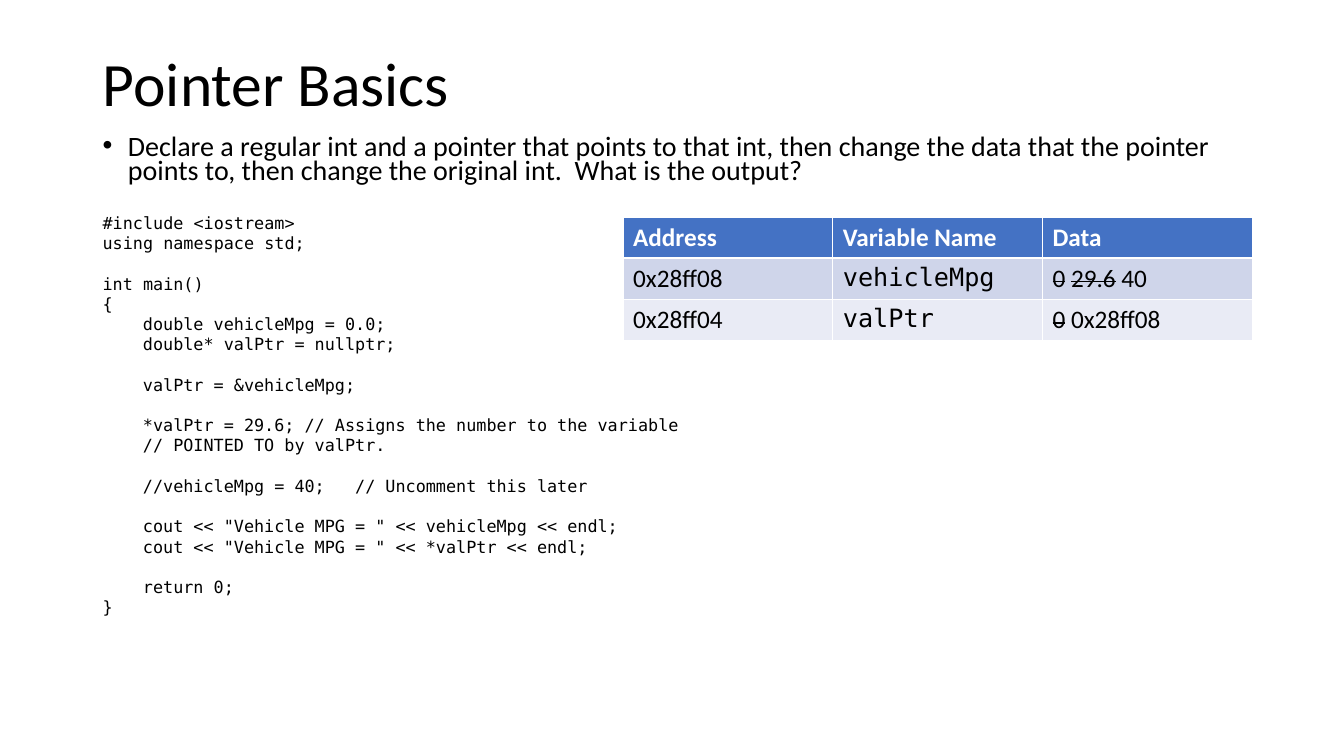
"""Build the Pointer Basics slide."""
from lxml.etree import SubElement
from pptx import Presentation
from pptx.dml.color import RGBColor
from pptx.enum.text import MSO_ANCHOR, PP_ALIGN
from pptx.oxml.ns import qn
from pptx.util import Inches, Pt

HUES = {"ink": "000000", "white": "FFFFFF", "head": "4472C4", "dark": "CFD5EA", "light": "E9EBF5"}
SANS, MONO = "Calibri", "DejaVu Sans Mono"
CODE = """#include <iostream>
using namespace std;

int main()
{
    double vehicleMpg = 0.0;
    double* valPtr = nullptr;

    valPtr = &vehicleMpg;

    *valPtr = 29.6; // Assigns the number to the variable
    // POINTED TO by valPtr.

    //vehicleMpg = 40;   // Uncomment this later

    cout << "Vehicle MPG = " << vehicleMpg << endl;
    cout << "Vehicle MPG = " << *valPtr << endl;

    return 0;
}"""
ROWS = [
    ("head", ["Address", "Variable Name", "Data"]),
    ("dark", ["0x28ff08", "vehicleMpg", "~0~ ~29.6~ 40"]),
    ("light", ["0x28ff04", "valPtr", "~0~ 0x28ff08"]),
]


def style(para, size, face=SANS, hue="ink", bold=False):
    font = para.font
    font.size, font.name, font.bold = Pt(size), face, bold
    font.color.rgb = RGBColor.from_string(HUES[hue])


def indent(para, left, first=0):
    props = para._p.get_or_add_pPr()
    props.set("marL", str(Inches(left)))
    props.set("indent", str(Inches(first)))
    return props


deck = Presentation()
deck.slide_width, deck.slide_height = Inches(13.33), Inches(7.5)
slide = deck.slides.add_slide(deck.slide_layouts[5])

title = slide.shapes.title
title.left, title.top, title.width, title.height = map(Inches, (0.92, 0.4, 11.5, 0.92))
title.text_frame.text = "Pointer Basics"
title.text_frame.vertical_anchor = MSO_ANCHOR.MIDDLE
para = title.text_frame.paragraphs[0]
para.alignment, para.line_spacing = PP_ALIGN.LEFT, 0.9
style(para, 44)

body = slide.shapes.add_textbox(*map(Inches, (0.92, 1.32, 11.5, 5.44))).text_frame
body.word_wrap = True
task = body.paragraphs[0]
task.text = ("Declare a regular int and a pointer that points to that int, then change the data "
             "that the pointer points to, then change the original int.  What is the output?")
task.line_spacing, task.space_before = 0.7, Pt(10)
style(task, 20)
props = indent(task, 0.25, -0.25)
SubElement(props, qn("a:buFont"), typeface="Arial")
SubElement(props, qn("a:buChar"), char="•")

pitch = 14.45
gap = 19.6
for line in CODE.splitlines():
    if not line:
        gap = pitch
        continue
    para = body.add_paragraph()
    para.text = line.strip()
    para.line_spacing, para.space_before = Pt(pitch), Pt(gap)
    style(para, 12, MONO)
    indent(para, 0.4 if line.startswith(" ") else 0)
    gap = 0

frame = slide.shapes.add_table(3, 3, *map(Inches, (6.18, 2.16, 6.24, 1.21)))
table = frame.table
for row, high in zip(table.rows, (0.39, 0.41, 0.41)):
    row.height = Inches(high)
for r, (fill, texts) in enumerate(ROWS):
    for c, text in enumerate(texts):
        cell = table.cell(r, c)
        cell.fill.solid()
        cell.fill.fore_color.rgb = RGBColor.from_string(HUES[fill])
        para = cell.text_frame.paragraphs[0]
        face = MONO if r and c == 1 else SANS
        style(para, 18, face, "ink" if r else "white", r == 0)
        for i, part in enumerate(text.split("~")):
            if part:
                run = para.add_run()
                run.text = part
                if i % 2:
                    run._r.get_or_add_rPr().set("strike", "sngStrike")

deck.save("out.pptx")
